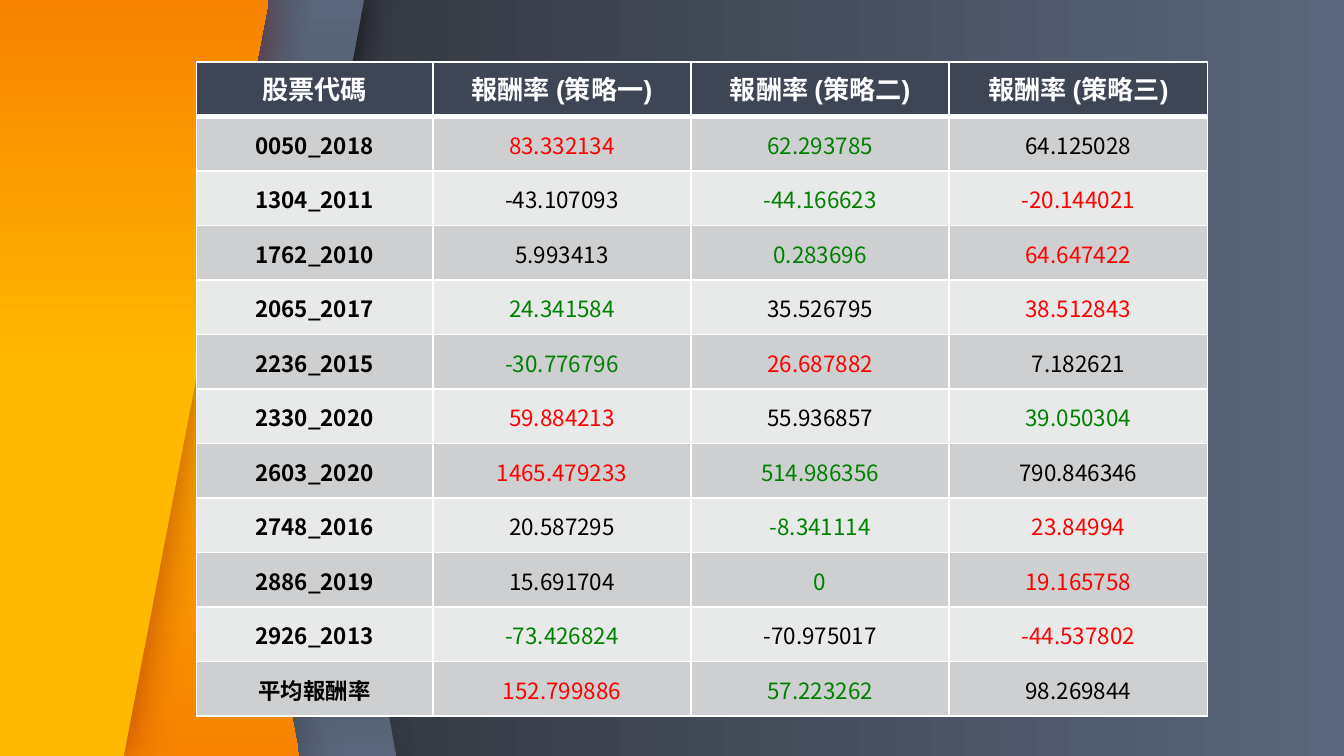
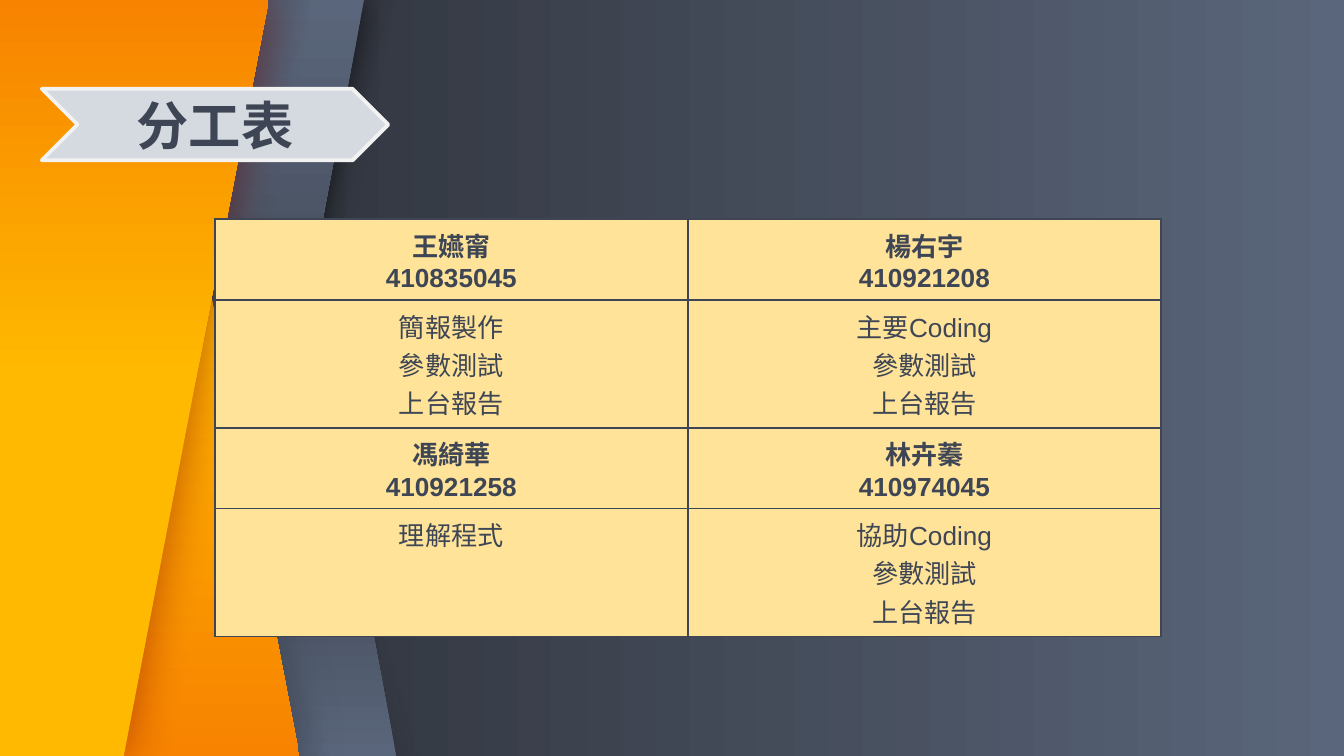
import pptx
import pptx.util
import pptx.dml.color
import pptx.enum.shapes
import pptx.enum.text
import pptx.oxml
import pptx.oxml.ns
from dataclasses import dataclass
from lxml import etree

Cm, Pt = pptx.util.Cm, pptx.util.Pt
RGB = pptx.dml.color.RGBColor.from_string
SHAPE = pptx.enum.shapes.MSO_SHAPE
ALIGN = pptx.enum.text.PP_ALIGN
ANCHOR = pptx.enum.text.MSO_ANCHOR
qn = pptx.oxml.ns.qn


@dataclass(frozen=True)
class Theme:
    latin: str = "Arial"
    cjk: str = "Noto Sans CJK TC"
    title: int = 28
    text: int = 14
    figure: int = 12
    navy: str = "3E4655"
    slate: str = "5A667B"
    coal: str = "26282D"
    shade: str = "27252C"
    yellow: str = "FFB900"
    orange: str = "F78300"
    maroon: str = "7E0808"
    cream: str = "FFE399"
    ribbon: str = "D5D9E0"
    ribbon_edge: str = "F2F2F2"
    bands: tuple = ("CECFD1", "E8E9E9")
    best: str = "FF0000"
    worst: str = "008000"
    black: str = "000000"
    white: str = "FFFFFF"


T = Theme()
WIDTH, HEIGHT = 25.4, 14.29

RETURN_HEADS = ["股票代碼", "報酬率 (策略一)", "報酬率 (策略二)", "報酬率 (策略三)"]
RETURNS = [
    ("0050_2018", "83.332134", "62.293785", "64.125028"),
    ("1304_2011", "-43.107093", "-44.166623", "-20.144021"),
    ("1762_2010", "5.993413", "0.283696", "64.647422"),
    ("2065_2017", "24.341584", "35.526795", "38.512843"),
    ("2236_2015", "-30.776796", "26.687882", "7.182621"),
    ("2330_2020", "59.884213", "55.936857", "39.050304"),
    ("2603_2020", "1465.479233", "514.986356", "790.846346"),
    ("2748_2016", "20.587295", "-8.341114", "23.84994"),
    ("2886_2019", "15.691704", "0", "19.165758"),
    ("2926_2013", "-73.426824", "-70.975017", "-44.537802"),
    ("平均報酬率", "152.799886", "57.223262", "98.269844"),
]

WORK_TITLE = "分工表"
MEMBERS = [
    [("王嬿甯", "410835045", ["簡報製作", "參數測試", "上台報告"]),
     ("楊右宇", "410921208", ["主要Coding", "參數測試", "上台報告"])],
    [("馮綺華", "410921258", ["理解程式"]),
     ("林卉蓁", "410974045", ["協助Coding", "參數測試", "上台報告"])],
]

DARK_FADE = ([(0, T.black), (13, T.black), (55, T.shade, 0), (100, T.shade, 0)], 196)
NAVY_FADE = ([(0, T.navy), (13, T.navy), (56, T.shade, 0), (100, T.shade, 0)], 18)
SLATE_DOWN = ([(0, T.slate), (100, T.coal)], 90)
SLATE_UP = ([(0, T.slate), (33, "404754"), (100, T.coal)], 270)
ORANGE_DOWN = ([(0, T.yellow), (37, T.yellow), (100, T.orange)], 90)
ORANGE_UP = ([(0, T.yellow), (50, T.yellow), (100, T.orange)], 270)
BACKGROUND = ([(0, T.slate), (100, T.coal)], 180)

WIDE, NARROW = 0.46, 0.75
BACKDROP = [
    dict(left=2.51, adj=NARROW, flip=True, paint=DARK_FADE),
    dict(left=1.65, adj=WIDE, flip=True, paint=SLATE_UP),
    dict(left=1.65, adj=NARROW, paint=NAVY_FADE),
    dict(left=1.04, adj=WIDE, paint=SLATE_DOWN, shadow=(T.black, 63, 16.9)),
    dict(left=0.76, adj=NARROW, flip=True, paint=DARK_FADE),
    dict(top=2.92, bottom=5.66, paint=ORANGE_DOWN, shadow=(T.navy, 71, 24.8)),
    dict(left=0.08, adj=NARROW, paint=NAVY_FADE),
    dict(top=5.08, bottom=2.34, paint=ORANGE_UP, shadow=(T.maroon, 50, 24.8)),
]


def add_color(parent, color, alpha=100):
    clr = etree.SubElement(parent, qn("a:srgbClr"), val=color)
    if alpha < 100:
        etree.SubElement(clr, qn("a:alpha"), val=str(alpha * 1000))


def paint_gradient(fill, owner, stops, angle):
    fill.gradient()
    grad = next(owner.iter(qn("a:gradFill")))
    for child in list(grad):
        grad.remove(child)
    gs_list = etree.SubElement(grad, qn("a:gsLst"))
    for pos, *color in stops:
        add_color(etree.SubElement(gs_list, qn("a:gs"), pos=str(pos * 1000)), *color)
    etree.SubElement(grad, qn("a:lin"), ang=str(angle * 60000), scaled="0")


def add_shadow(sp, color, alpha, blur):
    effects = next(sp.element.iter(qn("a:effectLst")))
    shadow = etree.SubElement(effects, qn("a:outerShdw"), blurRad=str(Pt(blur)),
                              dist="0", dir="0", algn="ctr", rotWithShape="0")
    add_color(shadow, color, alpha)


def add_panel(shapes, paint, left=0, adj=0, flip=False, top=0, bottom=0, shadow=None):
    if bottom:
        outline = shapes.build_freeform(0, 0, scale=Cm(1) / 100)
        corners = [(0, HEIGHT), (bottom, HEIGHT), (top, 0)]
        outline.add_line_segments([(x * 100, y * 100) for x, y in corners], close=True)
        sp = outline.convert_to_shape()
    else:
        sp = shapes.add_shape(SHAPE.PARALLELOGRAM, Cm(left), 0, Cm(5.84), Cm(HEIGHT))
        sp.adjustments[0] = adj
        if flip:
            next(sp.element.iter(qn("a:xfrm"))).set("flipH", "1")
    paint_gradient(sp.fill, sp.element, *paint)
    sp.line.fill.background()
    sp.shadow.inherit = False
    if shadow:
        add_shadow(sp, *shadow)
    return sp


def build_master(prs, slide):
    master = prs.slide_master
    paint_gradient(master.background.fill, master.element, *BACKGROUND)
    for i, panel in enumerate(BACKDROP):
        sp = add_panel(slide.shapes, **panel)
        next(sp.element.iter(qn("p:cNvPr"))).set("id", str(100 + i))
        master.shapes.element.insert(2 + i, sp.element)


def write(tf, lines, size, color, bold=False, font=T.latin):
    tf.text = "\n".join(lines)
    for p in tf.paragraphs:
        p.alignment = ALIGN.CENTER
        p.font.size, p.font.bold, p.font.name = Pt(size), bold, font
        p.font.color.rgb = RGB(color)


def style_cell(cell, fill, border, bottom=1):
    tc_pr = cell._tc.get_or_add_tcPr()
    for side, width in (("L", 1), ("R", 1), ("T", 1), ("B", bottom)):
        ln = etree.SubElement(tc_pr, qn("a:ln" + side), w=str(Pt(width)))
        add_color(etree.SubElement(ln, qn("a:solidFill")), border)
    cell.fill.solid()
    cell.fill.fore_color.rgb = RGB(fill)


def add_grid(slide, left, top, widths, heights):
    table = slide.shapes.add_table(len(heights), len(widths), Cm(left), Cm(top),
                                   Cm(sum(widths)), Cm(sum(heights))).table
    table.horz_banding = False
    for col, width in zip(table.columns, widths):
        col.width = Cm(width)
    for row, height in zip(table.rows, heights):
        row.height = Cm(height)
    return table


def rank_color(value, row):
    values = [float(v) for v in row]
    return {max(values): T.best, min(values): T.worst}.get(float(value), T.black)


def build_returns(slide):
    table = add_grid(slide, 3.71, 1.17, [4.47] + [4.88] * 3, [1.03] * (len(RETURNS) + 1))
    for c, head in enumerate(RETURN_HEADS):
        cell = table.cell(0, c)
        style_cell(cell, T.navy, T.white, bottom=3)
        write(cell.text_frame, [head], T.text, T.white, bold=True)
    for r, row in enumerate(RETURNS):
        for c, value in enumerate(row):
            cell = table.cell(r + 1, c)
            style_cell(cell, T.bands[r % 2], T.white)
            cell.vertical_anchor = ANCHOR.MIDDLE
            cell.margin_left = cell.margin_right = cell.margin_top = Cm(0.03)
            cell.margin_bottom = 0
            color = rank_color(value, row[1:]) if c else T.black
            write(cell.text_frame, [value], T.figure, color, bold=c == 0, font=T.cjk)


def build_work(slide):
    table = add_grid(slide, 4.06, 4.14, [8.94] * 2, [1.45, 2.11] * len(MEMBERS))
    table.first_row = False
    for r, pair in enumerate(MEMBERS):
        for c, (name, number, tasks) in enumerate(pair):
            for offset, lines in enumerate(([name, number], tasks)):
                cell = table.cell(2 * r + offset, c)
                style_cell(cell, T.cream, T.navy)
                write(cell.text_frame, lines, T.text, T.navy, bold=offset == 0)

    box = Cm(0.79), Cm(1.68), Cm(6.55), Cm(1.35)
    ribbon = slide.shapes.add_shape(SHAPE.CHEVRON, *box)
    ribbon.shadow.inherit = False
    ribbon.fill.solid()
    ribbon.fill.fore_color.rgb = RGB(T.ribbon)
    ribbon.line.color.rgb = RGB(T.ribbon_edge)
    ribbon.line.width = Pt(2)

    title = slide.shapes.title
    title.left, title.top, title.width, title.height = box
    slide.shapes.element.append(title.element)
    tf = title.text_frame
    tf.margin_left = tf.margin_right = tf.margin_top = tf.margin_bottom = 0
    tf.vertical_anchor = ANCHOR.MIDDLE
    tf.auto_size = pptx.enum.text.MSO_AUTO_SIZE.NONE
    write(tf, [WORK_TITLE], T.title, T.navy, bold=True)


def set_cjk_font(slide):
    for latin in list(slide.element.iter(qn("a:latin"))):
        ea = etree.Element(qn("a:ea"), typeface=T.cjk)
        latin.addnext(ea)


def main():
    prs = pptx.Presentation()
    prs.slide_width, prs.slide_height = Cm(WIDTH), Cm(HEIGHT)
    title_only, blank = prs.slide_layouts[5], prs.slide_layouts[6]
    returns = prs.slides.add_slide(blank)
    work = prs.slides.add_slide(title_only)
    build_master(prs, returns)
    build_returns(returns)
    build_work(work)
    for slide in prs.slides:
        set_cjk_font(slide)
    prs.save("out.pptx")


if __name__ == "__main__":
    main()
